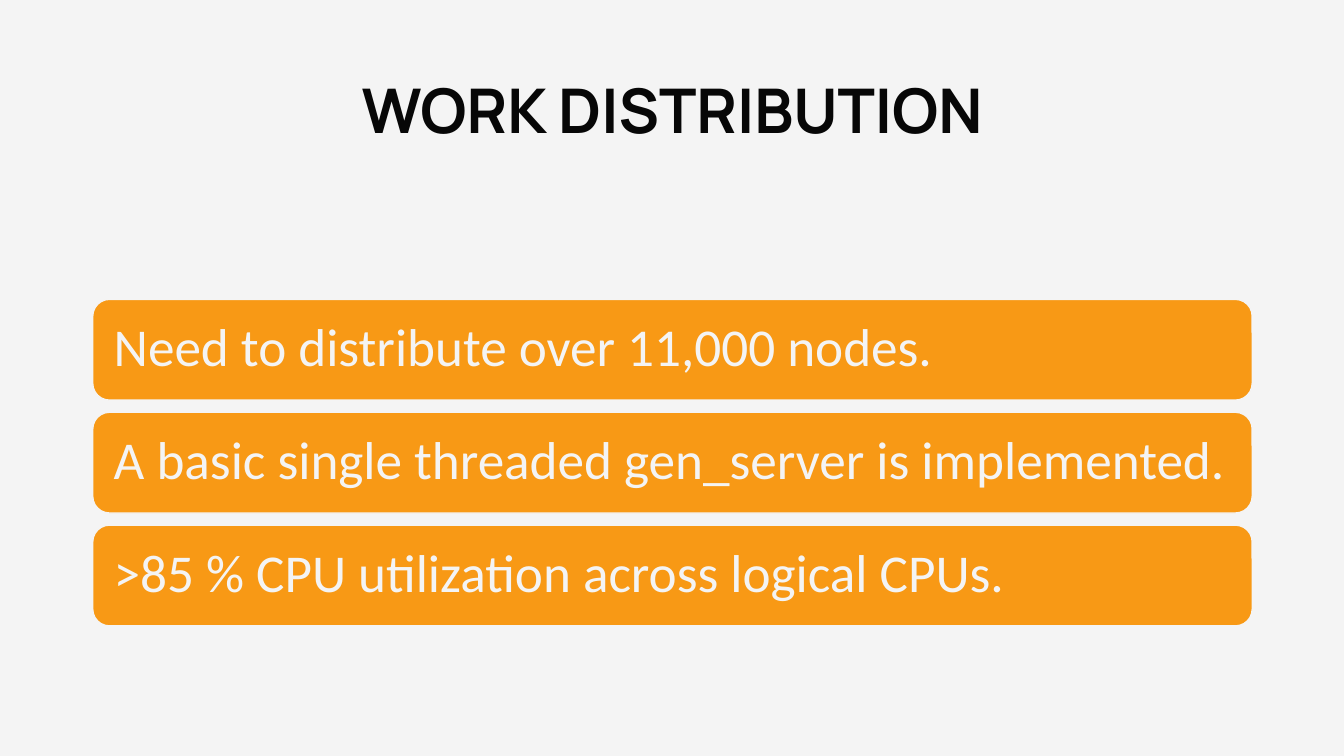
from dataclasses import dataclass

from pptx import Presentation
from pptx.dml.color import RGBColor
from pptx.enum.shapes import MSO_SHAPE
from pptx.enum.text import MSO_ANCHOR, MSO_AUTO_SIZE, PP_ALIGN
from pptx.util import Emu, Pt

EMU_PER_PX = 9144
TITLE_ONLY = 5


@dataclass(frozen=True)
class Theme:
    paper: RGBColor = RGBColor.from_string("F4F4F4")
    ink: RGBColor = RGBColor.from_string("070707")
    accent: RGBColor = RGBColor.from_string("F89915")
    title_font: str = "Manrope"
    body_font: str = "Calibri"
    title_size: Pt = Pt(44)
    body_size: Pt = Pt(38)
    outline: Pt = Pt(1)
    line_spacing: float = 0.9


THEME = Theme()


def px(n):
    return Emu(n * EMU_PER_PX)


def write(tf, text, font, size, color, align, bold=False):
    tf.word_wrap = True
    tf.auto_size = MSO_AUTO_SIZE.NONE
    tf.vertical_anchor = MSO_ANCHOR.MIDDLE
    p = tf.paragraphs[0]
    p.alignment = align
    p.line_spacing = THEME.line_spacing
    r = p.add_run()
    r.text = text
    r.font.name = font
    r.font.size = size
    r.font.bold = bold
    r.font.color.rgb = color


def place_title(s, box, text):
    sp = s.shapes.title
    sp.left, sp.top, sp.width, sp.height = map(px, box)
    write(sp.text_frame, text, THEME.title_font, THEME.title_size,
          THEME.ink, PP_ALIGN.CENTER, bold=True)


def add_bar(s, box, text, inset=16):
    sp = s.shapes.add_shape(MSO_SHAPE.ROUNDED_RECTANGLE, *map(px, box))
    sp.shadow.inherit = False
    sp.fill.solid()
    sp.fill.fore_color.rgb = THEME.accent
    sp.line.color.rgb = THEME.paper
    sp.line.width = THEME.outline
    tf = sp.text_frame
    tf.margin_left = tf.margin_right = px(inset)
    tf.margin_top = tf.margin_bottom = px(inset)
    write(tf, text, THEME.body_font, THEME.body_size,
          THEME.paper, PP_ALIGN.LEFT)


def add_bar_stack(s, box, texts, gap=12):
    x, y, w, h = box
    bar_h = (h - gap * (len(texts) - 1)) // len(texts)
    for i, text in enumerate(texts):
        add_bar(s, (x, y + i * (bar_h + gap), w, bar_h), text)


def build_work_distribution(prs):
    s = prs.slides.add_slide(prs.slide_layouts[TITLE_ONLY])
    s.background.fill.solid()
    s.background.fill.fore_color.rgb = THEME.paper
    place_title(s, (92, 40, 1150, 145), "WORK DISTRIBUTION")
    add_bar_stack(s, (92, 297, 1150, 324), [
        "Need to distribute over 11,000 nodes.",
        "A basic single threaded gen_server is implemented.",
        ">85 % CPU utilization across logical CPUs.",
    ])


def main():
    prs = Presentation()
    prs.slide_width, prs.slide_height = px(1333), px(750)
    build_work_distribution(prs)
    prs.save("out.pptx")


if __name__ == "__main__":
    main()
